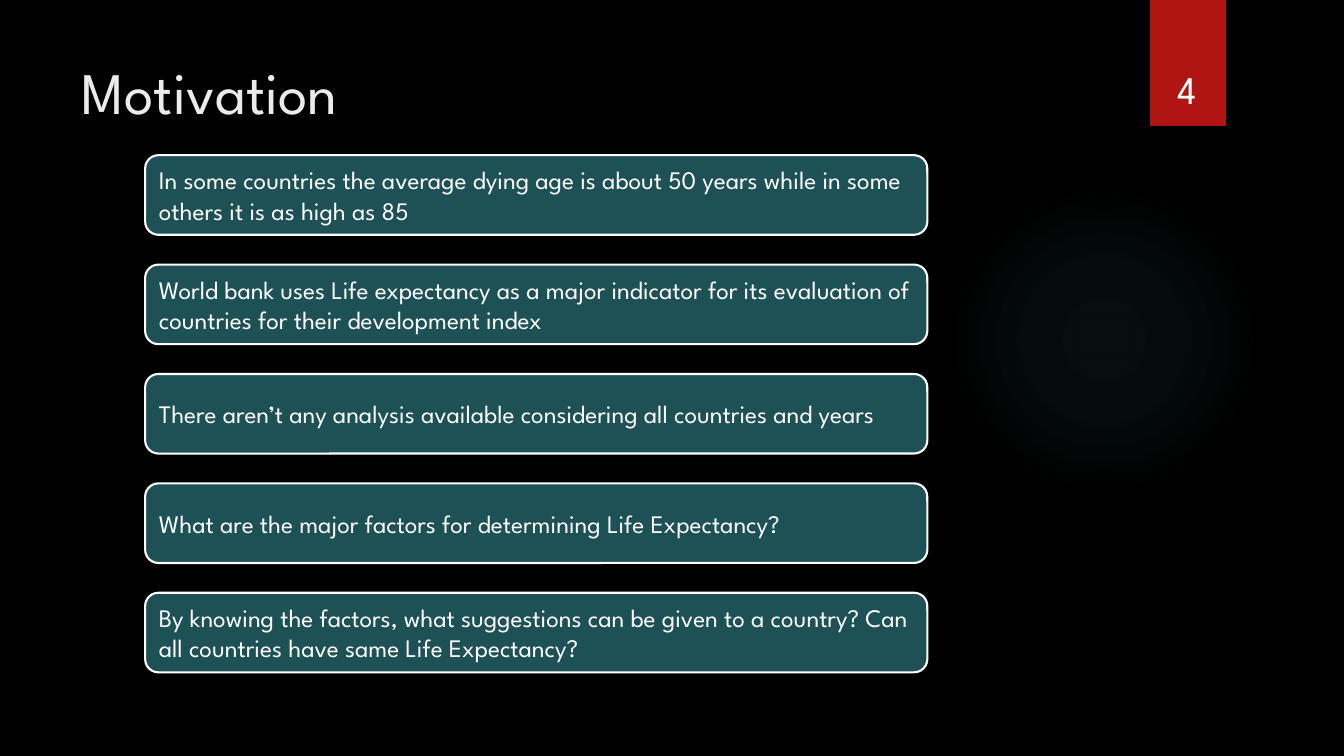
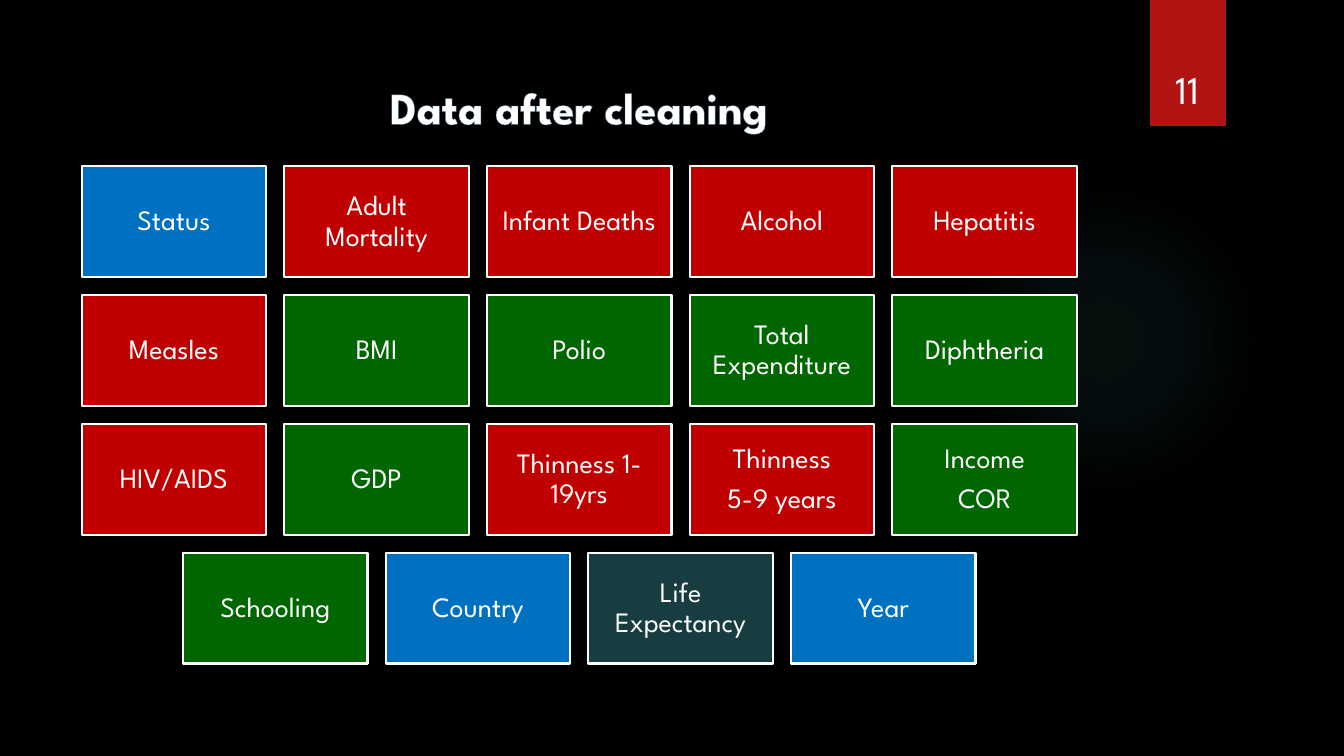
"""Build the Motivation and Data after cleaning slides."""
from pptx import Presentation
from pptx import util as u
from pptx.dml.color import RGBColor
from pptx.enum import shapes, text
from pptx.oxml import parse_xml
from pptx.oxml.ns import nsdecls

COLORS = {"back": "000000", "white": "FFFFFF", "title": "EBEBEB",
          "band": "B01513", "glow": "50B9C1", "panel": "1E5155",
          "red": "C00000", "green": "006600", "blue": "0070C0",
          "teal": "173D40", "outline": "54849A"}
FONT = "League Spartan"
LEFT, CENTER = text.PP_ALIGN.LEFT, text.PP_ALIGN.CENTER
TOP, MIDDLE, BOTTOM = (text.MSO_ANCHOR.TOP, text.MSO_ANCHOR.MIDDLE,
                       text.MSO_ANCHOR.BOTTOM)
SHAPE = shapes.MSO_SHAPE

prs = Presentation()
prs.slide_width, prs.slide_height = u.Inches(13.333), u.Inches(7.5)
master_fill = prs.slide_master.background.fill
master_fill.solid()
master_fill.fore_color.rgb = RGBColor.from_string(COLORS["back"])


def add_box(s, kind, x, y, w, h, fill=None, line=None):
    """Add a preset shape placed in percent of the slide."""
    sp = s.shapes.add_shape(kind, *share(x, y, w, h))
    sp.shadow.inherit = False
    if fill:
        sp.fill.solid()
        sp.fill.fore_color.rgb = RGBColor.from_string(COLORS[fill])
    if line:
        sp.line.color.rgb = RGBColor.from_string(COLORS[line])
        sp.line.width = u.Pt(1.5)
    else:
        sp.line.fill.background()
    return sp


def write(sp, words, size, align=LEFT, anchor=MIDDLE, color="white"):
    """Fill a shape with one paragraph per line and return its paragraphs."""
    tf = sp.text_frame
    tf.word_wrap = True
    tf.auto_size = text.MSO_AUTO_SIZE.NONE
    tf.vertical_anchor = anchor
    for i, line in enumerate(words.split("\n")):
        p = tf.add_paragraph() if i else tf.paragraphs[0]
        p.alignment = align
        r = p.add_run()
        r.text = line
        r.font.name, r.font.size = FONT, u.Pt(size)
        r.font.color.rgb = RGBColor.from_string(COLORS[color])
    return tf.paragraphs


share = lambda x, y, w, h: [int(prs.slide_width * x / 100), int(prs.slide_height * y / 100),
                            int(prs.slide_width * w / 100), int(prs.slide_height * h / 100)]

PAGES = [
    ("Motivation", "4", (5.33, 6.67, 77.18, 13.73), 42, LEFT, "title"),
    ("Data after cleaning", "11", (22.5, 9.87, 41.18, 8.53), 32, CENTER, "white"),
]
slides = []
for heading, number, place, size, align, color in PAGES:
    s = prs.slides.add_slide(prs.slide_layouts[5])
    slides.append(s)
    title = s.shapes.title
    title.left, title.top, title.width, title.height = share(*place)
    write(title, heading, size, align, TOP, color)

    glow = add_box(s, SHAPE.OVAL, 70.58, 24.4, 23.1, 41.07)
    stops = "".join(
        f'<a:gs pos="{pos}000"><a:srgbClr val="{COLORS["glow"]}">'
        f'<a:alpha val="{alpha}000"/></a:srgbClr></a:gs>'
        for pos, alpha in [(0, 7), (36, 6), (69, 0)])
    glow.element.spPr.insert(2, parse_xml(
        f'<a:gradFill {nsdecls("a")}><a:gsLst>{stops}</a:gsLst><a:path path="circle">'
        '<a:fillToRect l="50000" t="50000" r="50000" b="50000"/></a:path></a:gradFill>'))

    add_box(s, SHAPE.RECTANGLE, 85.58, 0, 5.63, 16.67, "band")
    page = s.shapes.add_textbox(*share(84.9, 4.27, 6.9, 11.2))
    write(page, number, 28, CENTER, BOTTOM)

motivation, cleaning = slides

REASONS = [
    "In some countries the average dying age is about 50 years while in some others it is as high as 85",
    "World bank uses Life expectancy as a major indicator for its evaluation of countries for their development index",
    "There aren’t any analysis available considering all countries and years",
    "What are the major factors for determining Life Expectancy?",
    "By knowing the factors, what suggestions can be given to a country? Can all countries have same Life Expectancy?",
]
for row, reason in enumerate(REASONS):
    panel = add_box(motivation, SHAPE.ROUNDED_RECTANGLE,
                    10.8, 20.53 + 14.47 * row, 58.2, 10.53, "panel", "white")
    write(panel, reason, 18)

r = cleaning.shapes.title.text_frame.paragraphs[0].runs[0]
r.font.bold = True
r.font.element.insert(0, parse_xml(
    f'<a:ln {nsdecls("a")} w="{u.Pt(0.8)}"><a:solidFill>'
    f'<a:srgbClr val="{COLORS["outline"]}"/></a:solidFill></a:ln>')) if hasattr(r.font, "element") else \
    r.font.fill and r.font._rPr.insert(0, parse_xml(
        f'<a:ln {nsdecls("a")} w="{u.Pt(0.8)}"><a:solidFill>'
        f'<a:srgbClr val="{COLORS["outline"]}"/></a:solidFill></a:ln>'))

FIELDS = [
    [("Status", "blue"), ("Adult Mortality", "red"), ("Infant Deaths", "red"),
     ("Alcohol", "red"), ("Hepatitis", "red")],
    [("Measles", "red"), ("BMI", "green"), ("Polio", "green"),
     ("Total Expenditure", "green"), ("Diphtheria", "green")],
    [("HIV/AIDS", "red"), ("GDP", "green"), ("Thinness 1-19yrs", "red"),
     ("Thinness\n5-9 years", "red"), ("Income\nCOR", "green")],
    [("Schooling", "green"), ("Country", "blue"), ("Life Expectancy", "teal"),
     ("Year", "blue")],
]
COLS, COL_STEP, ROW_STEP = 5, 15.08, 17.03
for row, fields in enumerate(FIELDS):
    indent = (COLS - len(fields)) / 2
    for col, (field, color) in enumerate(fields):
        tile = add_box(cleaning, SHAPE.RECTANGLE, 6.08 + COL_STEP * (col + indent),
                       22 + ROW_STEP * row, 13.73, 14.67, color, "white")
        tf = tile.text_frame
        tf.margin_left = tf.margin_right = tf.margin_top = tf.margin_bottom = u.Inches(0.08)
        for p in write(tile, field, 20, CENTER):
            p.line_spacing = 0.9
            p.space_after = u.Pt(7)

prs.save("out.pptx")
